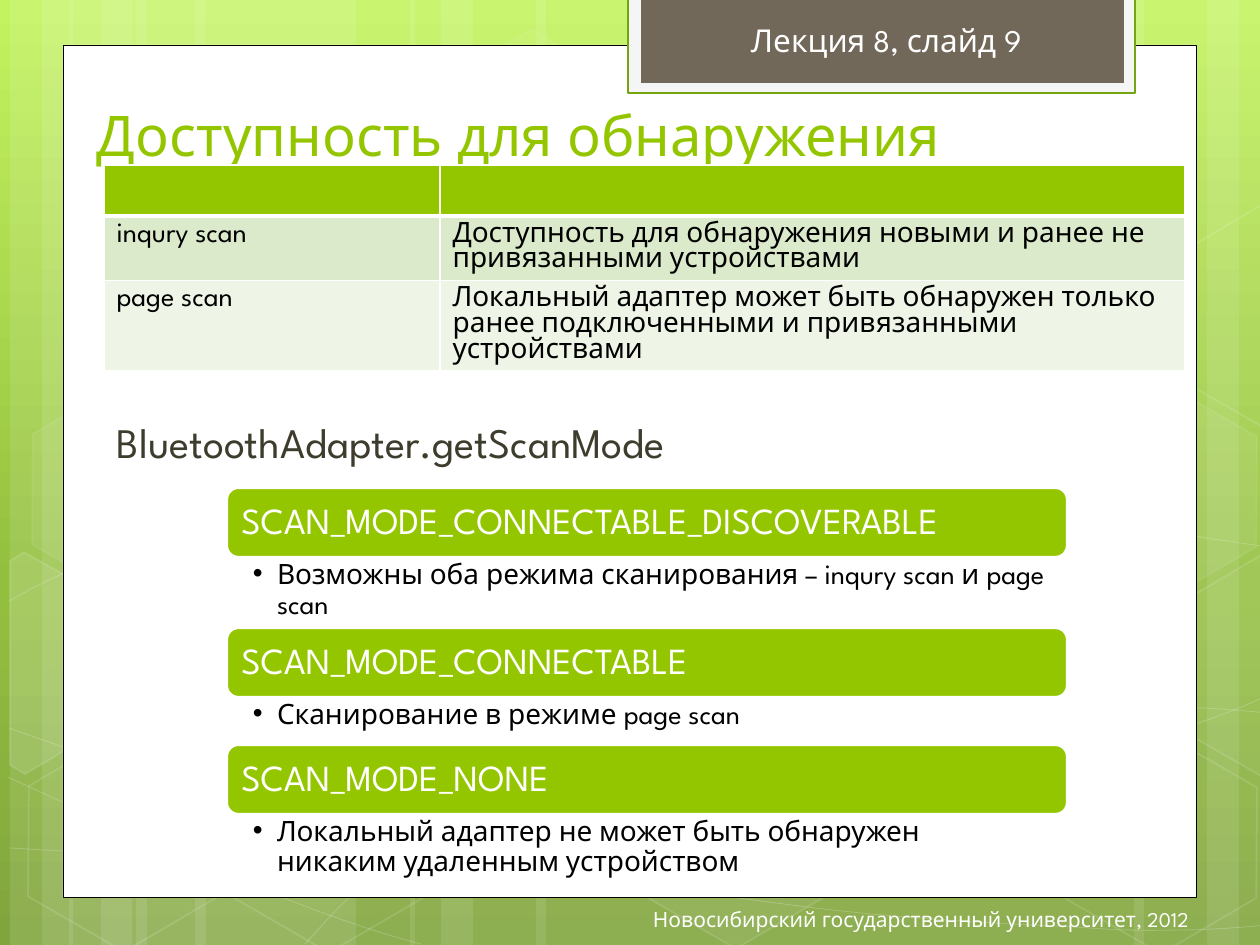
from copy import deepcopy
from itertools import chain

from lxml.etree import SubElement
from pptx import Presentation
from pptx.dml.color import RGBColor
from pptx.enum.shapes import MSO_SHAPE as SHAPE
from pptx.enum.text import MSO_ANCHOR as ANCHOR, PP_ALIGN as ALIGN
from pptx.oxml.ns import qn
from pptx.util import Pt

SCALE = 914400 / 126
FONT = "League Spartan"
WHITE = RGBColor(0xFF, 0xFF, 0xFF)
BLACK = RGBColor(0, 0, 0)
GREEN = RGBColor(0x94, 0xC6, 0x00)
DARK_GREEN = RGBColor(0x74, 0xA5, 0x10)
PALE = RGBColor(0xDC, 0xEA, 0xCC)
PALER = RGBColor(0xEE, 0xF5, 0xE7)
SMOKE = RGBColor(0xF5, 0xF5, 0xF5)
BROWN = RGBColor(0x71, 0x68, 0x5A)
OLIVE = RGBColor(0x3E, 0x3D, 0x2D)
SKY = [(0, RGBColor(0xC3, 0xF3, 0x5F)), (0.62, RGBColor(0x93, 0xBF, 0x3F)),
       (1, RGBColor(0x81, 0xA5, 0x3E))]

STRIPES = [(136, 220), (10, 63), (42, 105), (195, 220), (69, 63), (101, 105),
           (924, 220), (1207, 63), (1134, 105), (536, 388), (410, 63), (441, 105)]
CURVES = [
    [(9, 848), (77, 852, 145, 856, 239, 854), (334, 853, 451, 851, 577, 838),
     (703, 825, 882, 802, 998, 777), (1113, 753, 1231, 716, 1269, 694)],
    [(9, 601), (45, 581, 82, 562, 152, 543), (224, 521, 326, 496, 437, 488),
     (549, 479, 685, 478, 824, 488), (963, 498, 1193, 537, 1269, 547)],
    [(8, 777), (160, 847, 311, 916, 421, 944)],
    [(9, 728), (48, 742, 88, 756, 161, 776), (234, 795, 344, 827, 450, 848),
     (554, 869, 687, 892, 791, 905), (896, 919, 1008, 924, 1075, 927),
     (1140, 932, 1158, 930, 1191, 930), (1223, 929, 1246, 927, 1269, 925)],
    [(305, 944), (328, 919, 350, 893, 381, 871), (411, 848, 454, 823, 489, 805),
     (524, 788, 546, 780, 592, 767), (638, 755, 722, 737, 766, 728),
     (811, 720, 818, 720, 857, 717), (896, 713, 958, 709, 1000, 708),
     (1045, 707, 1116, 708, 1116, 708), (1144, 708, 1173, 708, 1201, 708),
     (1223, 709, 1245, 711, 1268, 713)],
]
HEXAGONS = [(421, 45, 4, 8), (626, 742, 6, 12), (14, 745, 0, 12), (18, 393, 7, 8),
            (219, 746, 0, 12), (949, 571, 10, 12), (1051, 747, 0, 12), (1051, 396, 7, 8)]
CUT_HEXAGONS = [
    ([(10, 561), (24, 552), (121, 607), (120, 718), (25, 774), (10, 765)], 10),
    ([(1167, 611), (1261, 555), (1271, 562), (1271, 772), (1263, 777), (1167, 722)], 4),
    ([(1167, 261), (1261, 205), (1273, 212), (1271, 422), (1263, 427), (1167, 372)], 0),
]
SCANS = [
    ("inqury scan", "Доступность для обнаружения новыми и ранее не привязанными устройствами"),
    ("page scan", "Локальный адаптер может быть обнаружен только ранее подключенными "
                  "и привязанными устройствами"),
]
MODES = [
    ("SCAN_MODE_CONNECTABLE_DISCOVERABLE",
     "Возможны оба режима сканирования – inqury scan и page scan", 71),
    ("SCAN_MODE_CONNECTABLE", "Сканирование в режиме page scan", 48),
    ("SCAN_MODE_NONE",
     "Локальный адаптер не может быть обнаружен никаким удаленным устройством", 71),
]


def px(*values):
    """Turn pixel lengths into EMU."""
    return [round(v * SCALE) for v in values]


def apply(obj, **fmt):
    """Set every attribute named in the format values."""
    for name, value in fmt.items():
        setattr(obj, name, value)


def paint(sp, fill=None, line=None, width=1, fill_alpha=100, line_alpha=100):
    """Give a shape its fill and line without a shadow."""
    sp.shadow.inherit = False
    for part, color, alpha in ((sp.fill, fill, fill_alpha), (sp.line.fill, line, line_alpha)):
        if color is None or alpha == 0:
            part.background()
            continue
        part.solid()
        part.fore_color.rgb = color
        if alpha < 100:
            tint = next(part._xPr.iter(qn("a:srgbClr")))
            SubElement(tint, qn("a:alpha"), val=str(alpha * 1000))
    if line is not None:
        sp.line.width = Pt(width)


def add_block(s, kind, box, **look):
    """Add a painted preset shape."""
    sp = s.shapes.add_shape(kind, *px(*box))
    paint(sp, **look)
    return sp


def write(tf, text, size, color, insets=(13, 6, 13, 6), anchor=ANCHOR.TOP, bullet=False, **para):
    """Fill a text frame with one formatted paragraph."""
    left, top, right, bottom = px(*insets)
    apply(tf, word_wrap=True, vertical_anchor=anchor, margin_left=left, margin_top=top,
          margin_right=right, margin_bottom=bottom)
    p = tf.paragraphs[0]
    apply(p, **{"alignment": ALIGN.LEFT, **para})
    if bullet:
        indent = px(24)[0]
        pPr = p._p.get_or_add_pPr()
        pPr.set("marL", str(indent))
        pPr.set("indent", str(-indent))
        SubElement(pPr, qn("a:buFont"), typeface="Arial")
        SubElement(pPr, qn("a:buChar"), char="•")
    r = p.add_run()
    r.text = text
    apply(r.font, name=FONT, size=Pt(size))
    r.font.color.rgb = color


def add_text(s, box, text, size, color, **fmt):
    """Add a text box with one paragraph."""
    write(s.shapes.add_textbox(*px(*box)).text_frame, text, size, color, **fmt)


def add_outline(s, points, close):
    """Add a freeform through the given points."""
    builder = s.shapes.build_freeform(*points[0], scale=SCALE)
    builder.add_line_segments(points[1:], close=close)
    return builder.convert_to_shape()


def add_curve(s, curve):
    """Add an open chain of cubic curves."""
    flat = list(chain.from_iterable(curve))
    sp = add_outline(s, list(zip(flat[::2], flat[1::2])), False)
    segments = list(sp._element.iter(qn("a:lnTo")))
    for first, second, third in zip(segments[::3], segments[1::3], segments[2::3]):
        first.tag = qn("a:cubicBezTo")
        for extra in (second, third):
            first.append(extra[0])
            extra.getparent().remove(extra)
    return sp


def add_backdrop(s, height):
    """Draw the gradient, light stripes, curves and hexagons."""
    fill = s.background.fill
    fill.gradient()
    fill.gradient_angle = 270
    stops = next(s.element.iter(qn("a:gsLst")))
    stops.append(deepcopy(stops[0]))
    for stop, (position, color) in zip(fill.gradient_stops, SKY):
        stop.position = position
        stop.color.rgb = color
    for x, width in STRIPES:
        add_block(s, SHAPE.RECTANGLE, (x, 0, width, height), fill=WHITE, fill_alpha=10)
    for curve in CURVES:
        paint(add_curve(s, curve), line=WHITE, width=0.5, line_alpha=20)
    for x, y, fill_alpha, line_alpha in HEXAGONS:
        sp = add_block(s, SHAPE.HEXAGON, (x, y, 220, 192), fill=WHITE, line=WHITE,
                       fill_alpha=fill_alpha, line_alpha=line_alpha)
        sp.rotation = 30
        sp.adjustments[0] = 0.285
    for points, fill_alpha in CUT_HEXAGONS:
        paint(add_outline(s, points, True), fill=WHITE, line=WHITE,
              fill_alpha=fill_alpha, line_alpha=12)


def add_frame(s, x, y, w, h):
    """Draw the white page, the lecture tag and the footer."""
    add_block(s, SHAPE.RECTANGLE, (x, y, w, h), fill=WHITE, line=BLACK, width=0.5)
    add_block(s, SHAPE.RECTANGLE, (x + 565, y - 48, 507, 96),
              fill=SMOKE, line=DARK_GREEN, width=1.25)
    add_block(s, SHAPE.RECTANGLE, (x + 578, y - 48, 483, 86), fill=BROWN)
    add_text(s, (x + 675, y - 30, 309, 50), "Лекция 8, слайд 9", 18, WHITE)
    add_text(s, (x + 329, y + h - 4, 810, 50), "Новосибирский государственный университет, 2012",
             12, WHITE, anchor=ANCHOR.MIDDLE, alignment=ALIGN.RIGHT)


def add_borders(cell, top, bottom):
    """Give a cell white edges of the given point widths."""
    tcPr = cell._tc.get_or_add_tcPr()
    for i, (side, width) in enumerate(zip("LRTB", (1, 1, top, bottom))):
        ln = SubElement(tcPr, qn(f"a:ln{side}"), w=str(Pt(width)))
        SubElement(SubElement(ln, qn("a:solidFill")), qn("a:srgbClr"), val=str(WHITE))
        tcPr.insert(i, ln)


def add_scan_table(s, x, y, w, h):
    """Add the table of scan kinds."""
    table = s.shapes.add_table(len(SCANS) + 1, 2, *px(x, y, w, h)).table
    for column, width in zip(table.columns, px(336, w - 336)):
        column.width = width
    for row, height in zip(table.rows, px(51, 64, h - 115)):
        row.height = height
    looks = ((GREEN, 1, 3), (PALE, 3, 1), (PALER, 1, 1))
    for row, texts, (color, top, bottom) in zip(table.rows, [("", "")] + SCANS, looks):
        for cell, text in zip(row.cells, texts):
            cell.fill.solid()
            cell.fill.fore_color.rgb = color
            add_borders(cell, top, bottom)
            if text:
                write(cell.text_frame, text, 16, BLACK, line_spacing=Pt(14.8))


def add_mode_list(s, x, y, w):
    """Stack the scan mode bars, each above its explanation."""
    bar = 69
    for name, note, note_height in MODES:
        sp = add_block(s, SHAPE.ROUNDED_RECTANGLE, (x, y, w, bar),
                       fill=GREEN, line=WHITE, width=1.25)
        write(sp.text_frame, name, 21, WHITE, insets=(11, 11, 11, 11),
              anchor=ANCHOR.MIDDLE, line_spacing=0.9)
        add_text(s, (x, y + bar, w, note_height), note, 16, BLACK, insets=(26, 3, 20, 3),
                 bullet=True, level=1, line_spacing=0.9)
        y += bar + note_height


def main():
    """Build the slide and save it."""
    prs = Presentation()
    prs.slide_width, prs.slide_height = px(1260, 945)
    s = prs.slides.add_slide(prs.slide_layouts[6])
    add_backdrop(s, 945)
    add_frame(s, 63, 45, 1134, 853)
    add_text(s, (84, 94, 1101, 81), "Доступность для обнаружения", 32, GREEN)
    add_text(s, (104, 411, 1081, 52), "BluetoothAdapter.getScanMode", 24, OLIVE)
    add_mode_list(s, 227, 488, 840)
    add_scan_table(s, 104, 165, 1081, 204)
    prs.save("out.pptx")


if __name__ == "__main__":
    main()
